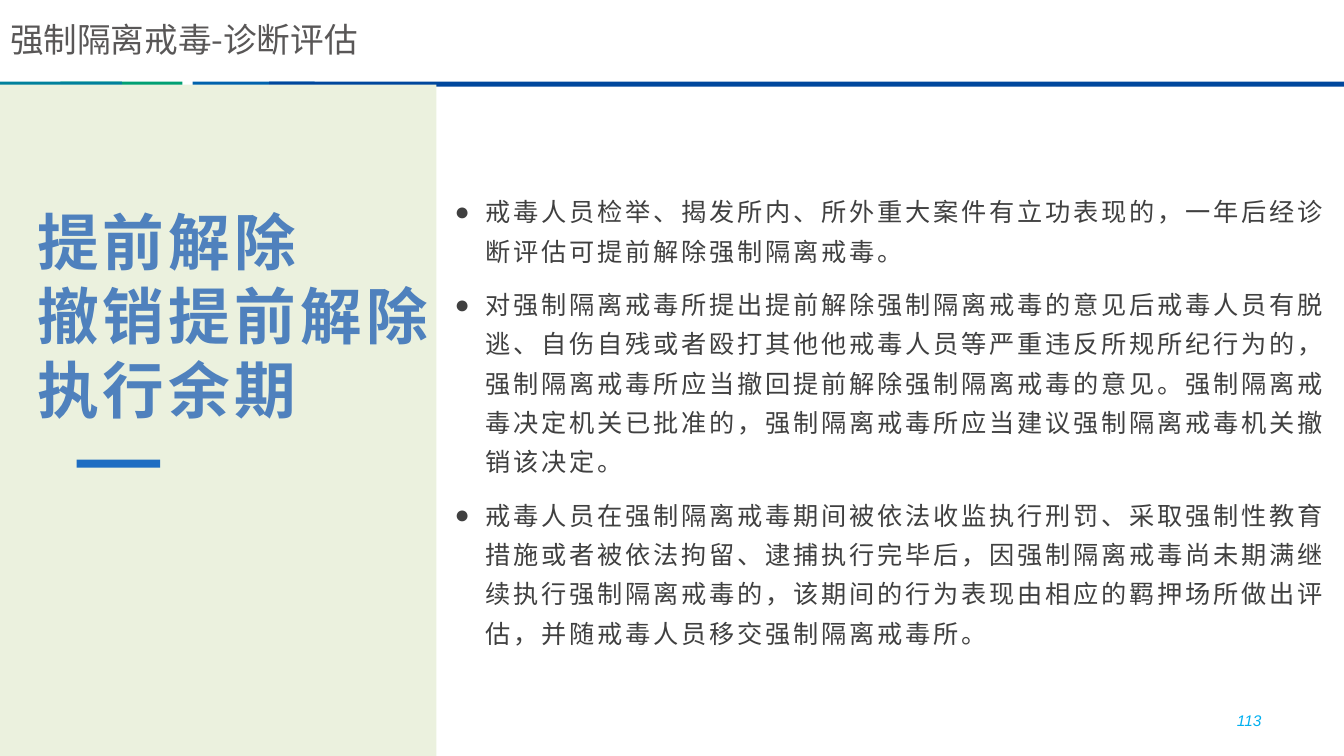
from lxml.etree import SubElement
from pptx import Presentation
from pptx.dml.color import RGBColor
from pptx.enum.shapes import MSO_SHAPE
from pptx.enum.text import MSO_ANCHOR, MSO_AUTO_SIZE, PP_ALIGN
from pptx.oxml.ns import qn
from pptx.util import Inches, Pt

W, H = 13.33, 7.5
CJK, LATIN = "Noto Sans CJK SC", "Arial"

GREEN = RGBColor(0x00, 0xA0, 0x73)
BLUE = RGBColor(0x00, 0x62, 0xAD)
NAVY = RGBColor(0x00, 0x47, 0x9D)
TEAL = RGBColor(0x00, 0x81, 0x9C)
PANEL = RGBColor(0xEB, 0xF1, 0xDE)
ACCENT = RGBColor(0x1D, 0x6D, 0xC2)
HEADING = RGBColor(0x4F, 0x81, 0xBD)
BODY = RGBColor(0x40, 0x40, 0x40)
TITLE = RGBColor(0x59, 0x57, 0x57)
PAGE = RGBColor(0x00, 0xB0, 0xF0)

TOPICS = ["提前解除", "撤销提前解除", "执行余期"]
RULES = [
    "戒毒人员检举、揭发所内、所外重大案件有立功表现的，一年后经诊断评估可提前解除强制隔离戒毒。",
    "对强制隔离戒毒所提出提前解除强制隔离戒毒的意见后戒毒人员有脱逃、自伤自残或者殴打其他他戒毒人员等"
    "严重违反所规所纪行为的，强制隔离戒毒所应当撤回提前解除强制隔离戒毒的意见。强制隔离戒毒决定机关已"
    "批准的，强制隔离戒毒所应当建议强制隔离戒毒机关撤销该决定。",
    "戒毒人员在强制隔离戒毒期间被依法收监执行刑罚、采取强制性教育措施或者被依法拘留、逮捕执行完毕后，"
    "因强制隔离戒毒尚未期满继续执行强制隔离戒毒的，该期间的行为表现由相应的羁押场所做出评估，并随戒毒"
    "人员移交强制隔离戒毒所。",
]


def add_bar(s, x, y, w, h, color):
    sp = s.shapes.add_shape(MSO_SHAPE.RECTANGLE, *map(Inches, (x, y, w, h)))
    sp.shadow.inherit = False
    sp.fill.solid()
    sp.fill.fore_color.rgb = color
    sp.line.fill.background()


def add_frame(s, x, y, w, h, anchor):
    tf = s.shapes.add_textbox(*map(Inches, (x, y, w, h))).text_frame
    tf.word_wrap = True
    tf.vertical_anchor = anchor
    return tf


def add_run(p, text, size, color, face=CJK, spacing=0):
    r = p.add_run()
    r.text = text
    r.font.size = Pt(size)
    r.font.name = face
    r.font.color.rgb = color
    rPr = r._r.get_or_add_rPr()
    SubElement(rPr, qn("a:ea")).set("typeface", face)
    if spacing:
        rPr.set("spc", str(spacing * 100))
    return r


def paragraphs(tf, texts):
    for i, text in enumerate(texts):
        yield (tf.add_paragraph() if i else tf.paragraphs[0]), text


def add_bullet(p, indent):
    pPr = p._p.get_or_add_pPr()
    pPr.set("marL", str(Inches(indent)))
    pPr.set("indent", str(-Inches(indent)))
    SubElement(pPr, qn("a:buFont")).set("typeface", LATIN)
    SubElement(pPr, qn("a:buChar")).set("char", "●")


def header(s, x, y, w, h):
    # Title
    sp = s.shapes.title
    sp.left, sp.top = Inches(x), Inches(y + 0.12)
    sp.width, sp.height = Inches(7.13), Inches(0.54)
    tf = sp.text_frame
    tf.auto_size = MSO_AUTO_SIZE.NONE
    tf.vertical_anchor = MSO_ANCHOR.MIDDLE
    p = tf.paragraphs[0]
    p.alignment = PP_ALIGN.LEFT
    add_run(p, "强制隔离戒毒-诊断评估", 24, TITLE)
    # Coloured rule along the lower edge
    bar_h = 0.05
    for left, width, color in [(0.6, 1.21, GREEN), (1.91, 1.21, BLUE),
                               (2.67, w - 2.67, NAVY), (0, 1.21, TEAL)]:
        add_bar(s, x + left, y + h - bar_h, width, bar_h, color)


def topic_panel(s, x, y, w, h):
    add_bar(s, x, y, w, h, PANEL)
    add_bar(s, x + 0.76, y + 3.72, 0.83, 0.08, ACCENT)
    tf = add_frame(s, x + 0.27, y + 0.88, w + 0.14, 2.5, MSO_ANCHOR.BOTTOM)
    tf.margin_bottom = 0
    for p, text in paragraphs(tf, TOPICS):
        p.line_spacing = Pt(52.8)
        add_run(p, text, 44, HEADING, spacing=3).font.bold = True


def rule_list(s, x, y, w, h):
    tf = add_frame(s, x, y, w, h, MSO_ANCHOR.MIDDLE)
    for i, (p, text) in enumerate(paragraphs(tf, RULES)):
        add_bullet(p, 0.31)
        p.line_spacing = Pt(28.1)
        p.space_before = Pt(10 if i else 0)
        add_run(p, text, 18, BODY, spacing=2)


def page_number(s, x, y, w, h):
    p = add_frame(s, x, y, w, h, MSO_ANCHOR.MIDDLE).paragraphs[0]
    p.alignment = PP_ALIGN.RIGHT
    add_run(p, "113", 11, PAGE, LATIN).font.italic = True


def main():
    prs = Presentation()
    prs.slide_width, prs.slide_height = Inches(W), Inches(H)
    s = prs.slides.add_slide(prs.slide_layouts[5])
    header(s, 0, 0, W, 0.86)
    topic_panel(s, 0, 0.84, 4.33, H - 0.84)
    rule_list(s, 4.41, 1.24, W - 4.41, 5.81)
    page_number(s, 9.5, 6.95, 3.11, 0.4)
    prs.save("out.pptx")


if __name__ == "__main__":
    main()
